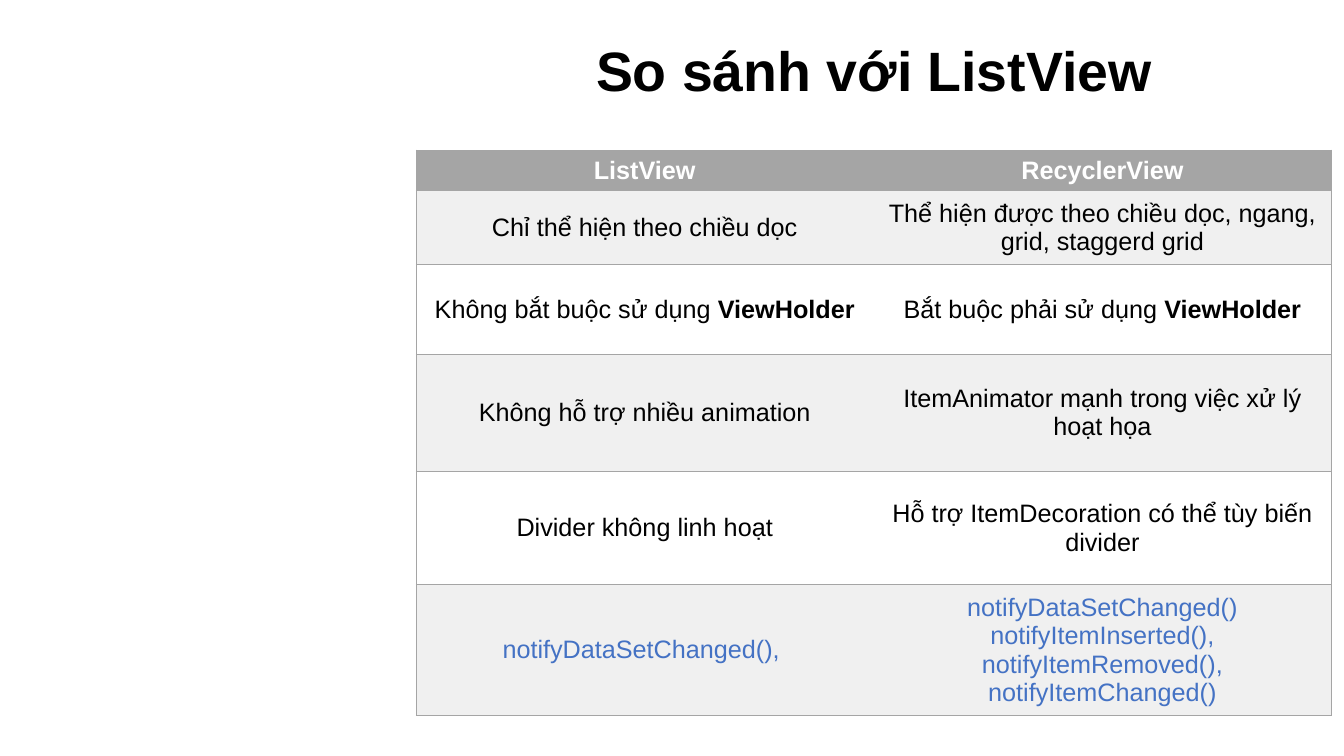
import dataclasses

import pptx
import pptx.dml.color
import pptx.enum.text
import pptx.oxml
import pptx.oxml.ns
import pptx.util


@dataclasses.dataclass(frozen=True)
class Theme:
    font: str = "Arial"
    ink: str = "000000"
    paper: str = "FFFFFF"
    band: str = "F0F0F0"
    rule: str = "A5A5A5"
    code: str = "4472C4"
    title_size: float = 39.6
    body_size: float = 18
    rule_width: float = 1


def rgb(value):
    return pptx.dml.color.RGBColor.from_string(value)


def write(frame, text, *, font, size, color, bold=False, spacing=None,
          anchor=pptx.enum.text.MSO_ANCHOR.MIDDLE):
    frame.word_wrap = True
    frame.vertical_anchor = anchor
    for index, line in enumerate(text.split("\n")):
        paragraph = frame.add_paragraph() if index else frame.paragraphs[0]
        paragraph.alignment = pptx.enum.text.PP_ALIGN.CENTER
        paragraph.line_spacing = spacing
        for part, words in enumerate(line.split("**")):
            if words:
                run = paragraph.add_run()
                run.text = words
                run.font.name = font
                run.font.size = pptx.util.Pt(size)
                run.font.bold = bold or part % 2 == 1
                run.font.color.rgb = rgb(color)


class Deck:
    """Draws styled elements on a slide, with lengths in percent of its size."""

    def __init__(self, theme, width, height):
        self.theme = theme
        self.presentation = pptx.Presentation()
        self.presentation.slide_width = pptx.util.Inches(width)
        self.presentation.slide_height = pptx.util.Inches(height)
        self.slide = self.presentation.slides.add_slide(
            self.presentation.slide_layouts[6])

    def across(self, share):
        return round(self.presentation.slide_width * share / 100)

    def down(self, share):
        return round(self.presentation.slide_height * share / 100)

    def title(self, text, left, top, width, height):
        heading = self.slide.shapes.add_textbox(
            self.across(left), self.down(top), self.across(width), self.down(height))
        write(heading.text_frame, text, font=self.theme.font,
              size=self.theme.title_size, color=self.theme.ink, bold=True,
              spacing=0.9, anchor=pptx.enum.text.MSO_ANCHOR.BOTTOM)

    def borders(self, cell, visible):
        properties = cell._tc.get_or_add_tcPr()
        for position, side in enumerate("LRTB"):
            paint = "<a:noFill/>"
            if side in visible:
                paint = f'<a:solidFill><a:srgbClr val="{self.theme.rule}"/></a:solidFill>'
            width = pptx.util.Pt(self.theme.rule_width)
            properties.insert(position, pptx.oxml.parse_xml(
                f'<a:ln{side} {pptx.oxml.ns.nsdecls("a")} w="{width}">{paint}</a:ln{side}>'))

    def comparison(self, rows, left, top, widths, heights):
        table = self.slide.shapes.add_table(
            len(rows), len(widths), self.across(left), self.down(top),
            self.across(sum(widths)), self.down(sum(heights))).table
        table.horz_banding = False
        for column, width in zip(table.columns, widths):
            column.width = self.across(width)
        for row, height in zip(table.rows, heights):
            row.height = self.down(height)
        for r, texts in enumerate(rows):
            if r == 0:
                fill, color = self.theme.rule, self.theme.paper
            else:
                fill = self.theme.band if r % 2 else self.theme.paper
                color = self.theme.code if r == len(rows) - 1 else self.theme.ink
            for c, text in enumerate(texts):
                cell = table.cell(r, c)
                cell.fill.solid()
                cell.fill.fore_color.rgb = rgb(fill)
                cell.vertical_anchor = pptx.enum.text.MSO_ANCHOR.MIDDLE
                write(cell.text_frame, text, font=self.theme.font,
                      size=self.theme.body_size, color=color, bold=r == 0)
                self.borders(cell, "RTB" if c else "LTB")


COMPARISON = [
    ("ListView", "RecyclerView"),
    ("Chỉ thể hiện theo chiều dọc",
     "Thể hiện được theo chiều dọc, ngang, grid, staggerd grid"),
    ("Không bắt buộc sử dụng **ViewHolder**",
     "Bắt buộc phải sử dụng **ViewHolder**"),
    ("Không hỗ trợ nhiều animation",
     "ItemAnimator mạnh trong việc xử lý hoạt họa"),
    ("Divider không linh hoạt",
     "Hỗ trợ ItemDecoration có thể tùy biến divider"),
    ("notifyDataSetChanged(), ",
     "notifyDataSetChanged()\n"
     "notifyItemInserted(), notifyItemRemoved(), notifyItemChanged()"),
]


def main():
    deck = Deck(Theme(), 13.33, 7.5)
    deck.title("So sánh với ListView", 43.06, 3.33, 43.96, 11.07)
    deck.comparison(COMPARISON, 30.98, 19.87, widths=(33.98, 34.13),
                    heights=(5.33, 9.8, 11.9, 15.5, 14.95, 17.1))
    deck.presentation.save("out.pptx")


if __name__ == "__main__":
    main()
